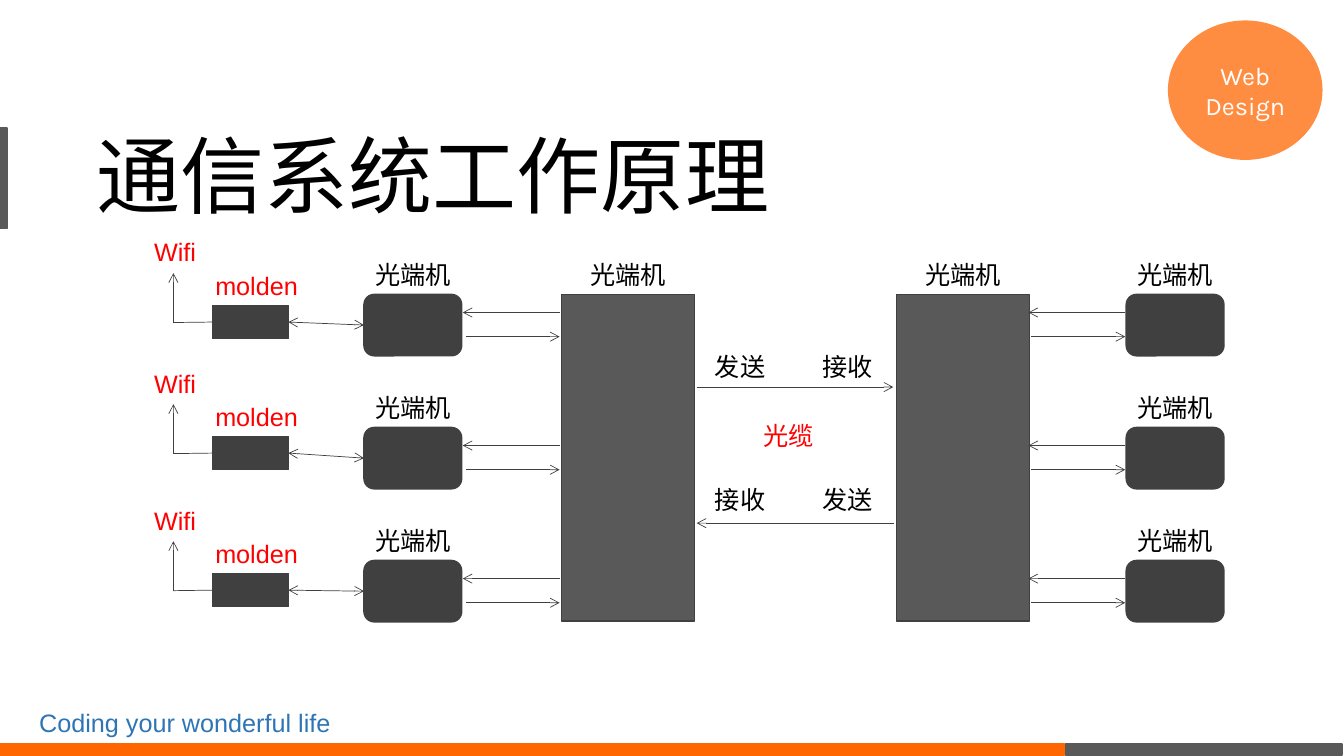
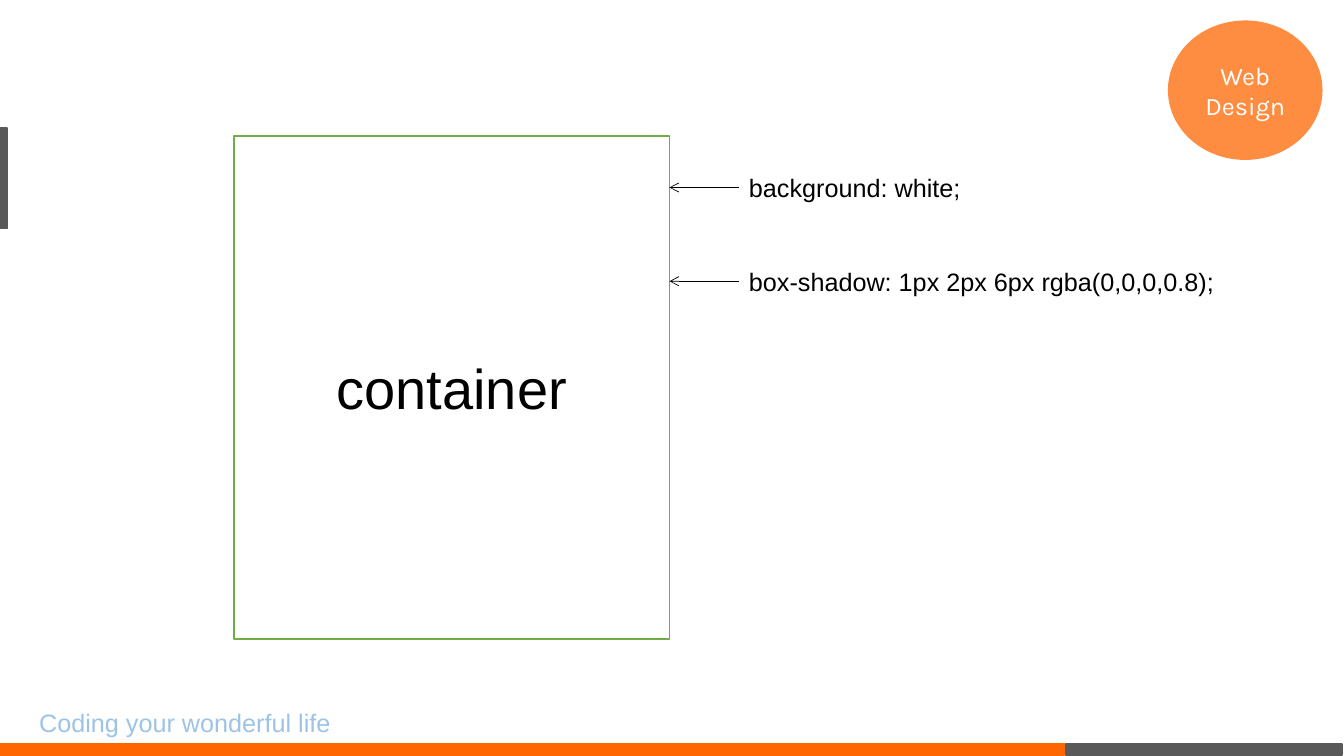
from lxml import etree
from pptx import Presentation
from pptx.dml.color import RGBColor
from pptx.enum.shapes import MSO_CONNECTOR, MSO_SHAPE
from pptx.enum.text import MSO_ANCHOR, MSO_AUTO_SIZE, PP_ALIGN
from pptx.oxml.ns import qn
from pptx.util import Inches, Pt

RECT, ROUND, OVAL = MSO_SHAPE.RECTANGLE, MSO_SHAPE.ROUNDED_RECTANGLE, MSO_SHAPE.OVAL
STRAIGHT = MSO_CONNECTOR.STRAIGHT
LEFT, CENTER = PP_ALIGN.LEFT, PP_ALIGN.CENTER
BOTTOM, MIDDLE = MSO_ANCHOR.BOTTOM, MSO_ANCHOR.MIDDLE
NO_FIT, GROW = MSO_AUTO_SIZE.NONE, MSO_AUTO_SIZE.SHAPE_TO_FIT_TEXT

WHITE, BLACK, RED = "FFFFFF", "000000", "FF0000"
ORANGE, PEACH = "FF6600", "FF8D41"
GRAY, DARK = "595959", "404040"
BLUE, PALE_BLUE, GREEN = "2E75B6", "9DC3E6", "70AD47"
BODY, TITLE, BADGE = "Arial", "Montserrat", "Karla"

ROW_TOPS = [2.92 + 1.32 * i for i in range(3)]
MODEM_TOPS = [3.03, 4.33, 5.69]
TERMINAL_W, TERMINAL_H = 0.97, 0.61
CABINET_W, CABINET_H = 1.32, 3.24


def rgb(color):
    return RGBColor.from_string(color)


def add_run(p, text, size, color, font):
    r = p.add_run()
    r.text = text
    r.font.size = Pt(size)
    r.font.name = font
    r.font.color.rgb = rgb(color)


def add_box(s, kind, x, y, w, h, fill, line=None):
    sp = s.shapes.add_shape(kind, Inches(x), Inches(y), Inches(w), Inches(h))
    sp.shadow.inherit = False
    sp.fill.solid()
    sp.fill.fore_color.rgb = rgb(fill)
    sp.line.color.rgb = rgb(line or fill)
    sp.line.width = Pt(1)
    return sp


def add_text(s, text, x, y, w, h=0.4, color=BLACK, size=18, align=CENTER, wrap=True):
    tf = s.shapes.add_textbox(Inches(x), Inches(y), Inches(w), Inches(h)).text_frame
    tf.word_wrap = wrap
    tf.auto_size = GROW
    p = tf.paragraphs[0]
    p.alignment = align
    add_run(p, text, size, color, BODY)


def add_line(s, x1, y1, x2, y2, color=DARK, ends=("tailEnd",)):
    cx = s.shapes.add_connector(STRAIGHT, Inches(x1), Inches(y1), Inches(x2), Inches(y2))
    cx.line.color.rgb = rgb(color)
    cx.line.width = Pt(0.5)
    ln = cx.element.find(".//" + qn("a:ln"))
    for end in ends:
        etree.SubElement(ln, qn("a:" + end), type="arrow")
    etree.SubElement(ln.getparent(), qn("a:effectLst"))
    return cx


def add_title(s, text):
    sp = s.shapes.title
    sp.left, sp.top, sp.width, sp.height = (Inches(v) for v in (0.86, 0.6, 10.15, 1.68))
    tf = sp.text_frame
    tf.word_wrap = True
    tf.auto_size = NO_FIT
    tf.vertical_anchor = BOTTOM
    p = tf.paragraphs[0]
    p.alignment = LEFT
    p.line_spacing = 1.3
    add_run(p, text, 60, BLACK, TITLE)


def add_frame(s, motto_color):
    badge = add_box(s, OVAL, 11.59, 0.21, 1.52, 1.37, PEACH)
    tf = badge.text_frame
    tf.word_wrap = True
    tf.vertical_anchor = MIDDLE
    p = tf.paragraphs[0]
    p.alignment = CENTER
    add_run(p, "Web Design", 18, WHITE, BADGE)
    add_box(s, RECT, -0.01, 7.38, 10.57, 0.11, ORANGE)
    add_box(s, RECT, 10.57, 7.38, 2.74, 0.11, GRAY)
    add_text(s, "Coding your wonderful life", 0.29, 6.97, 3.5,
             color=motto_color, align=LEFT, wrap=False)
    add_box(s, RECT, -0.01, 1.27, 0.08, 1, GRAY)


def add_device_label(s, x, y, w):
    add_text(s, "光端机", x, y - 0.4, w, wrap=False)


def add_cabinet(s, x):
    add_box(s, RECT, x, ROW_TOPS[0], CABINET_W, CABINET_H, GRAY, DARK)
    add_device_label(s, x, ROW_TOPS[0], CABINET_W)


def add_terminals(s, x, link_x):
    terminals = []
    for y in ROW_TOPS:
        terminals.append(add_box(s, ROUND, x, y, TERMINAL_W, TERMINAL_H, DARK))
        add_device_label(s, x, y, TERMINAL_W)
        add_line(s, link_x + 0.96, y + 0.18, link_x, y + 0.18)
        add_line(s, link_x + 0.03, y + 0.42, link_x + 0.96, y + 0.42)
    return terminals


def add_modem(s, y, terminal):
    modem = add_box(s, RECT, 2.11, y, 0.75, 0.33, DARK)
    mid = y + 0.17
    link = add_line(s, 3.61, mid, 2.86, mid, ends=("headEnd", "tailEnd"))
    link.begin_connect(terminal, 1)
    link.end_connect(modem, 3)
    add_text(s, "molden", 1.87, y - 0.4, 1.35, color=RED)
    add_line(s, 2.11, mid, 1.72, mid, ends=()).begin_connect(modem, 1)
    add_line(s, 1.72, mid, 1.72, y - 0.32)
    add_text(s, "Wifi", 1.43, y - 0.73, 0.68, color=RED, align=LEFT)


def build_system(prs):
    s = prs.slides.add_slide(prs.slide_layouts[5])
    add_title(s, "通信系统工作原理")
    add_frame(s, BLUE)
    for x in (5.57, 8.89):
        add_cabinet(s, x)
    add_terminals(s, 11.17, 10.2)
    for y, terminal in zip(MODEM_TOPS, add_terminals(s, 3.61, 4.59)):
        add_modem(s, y, terminal)
    add_line(s, 6.91, 3.84, 8.86, 3.84)
    add_line(s, 8.87, 5.19, 6.91, 5.19)
    for y, words in ((3.44, ("发送", "接收")), (4.76, ("接收", "发送"))):
        for x, word in zip((6.9, 7.97), words):
            add_text(s, word, x, y, 0.88)
    add_text(s, "光缆", 7.01, 4.12, 1.63, color=RED)


def build_container(prs):
    s = prs.slides.add_slide(prs.slide_layouts[6])
    add_frame(s, PALE_BLUE)
    add_box(s, RECT, 2.32, 1.35, 4.32, 4.99, WHITE, GREEN)
    add_text(s, "container", 2.32, 3.46, 4.32, 0.77, size=40)
    notes = (("background: white;", 1.86, 2.61),
             ("box-shadow: 1px 2px 6px rgba(0,0,0,0.8);", 2.79, 5.54))
    for text, y, w in notes:
        add_line(s, 7.33, y, 6.64, y, BLACK)
        add_text(s, text, 7.33, y - 0.2, w, align=LEFT)


def main():
    prs = Presentation()
    prs.slide_width, prs.slide_height = Inches(13.33), Inches(7.5)
    build_system(prs)
    build_container(prs)
    prs.save("out.pptx")


if __name__ == "__main__":
    main()
